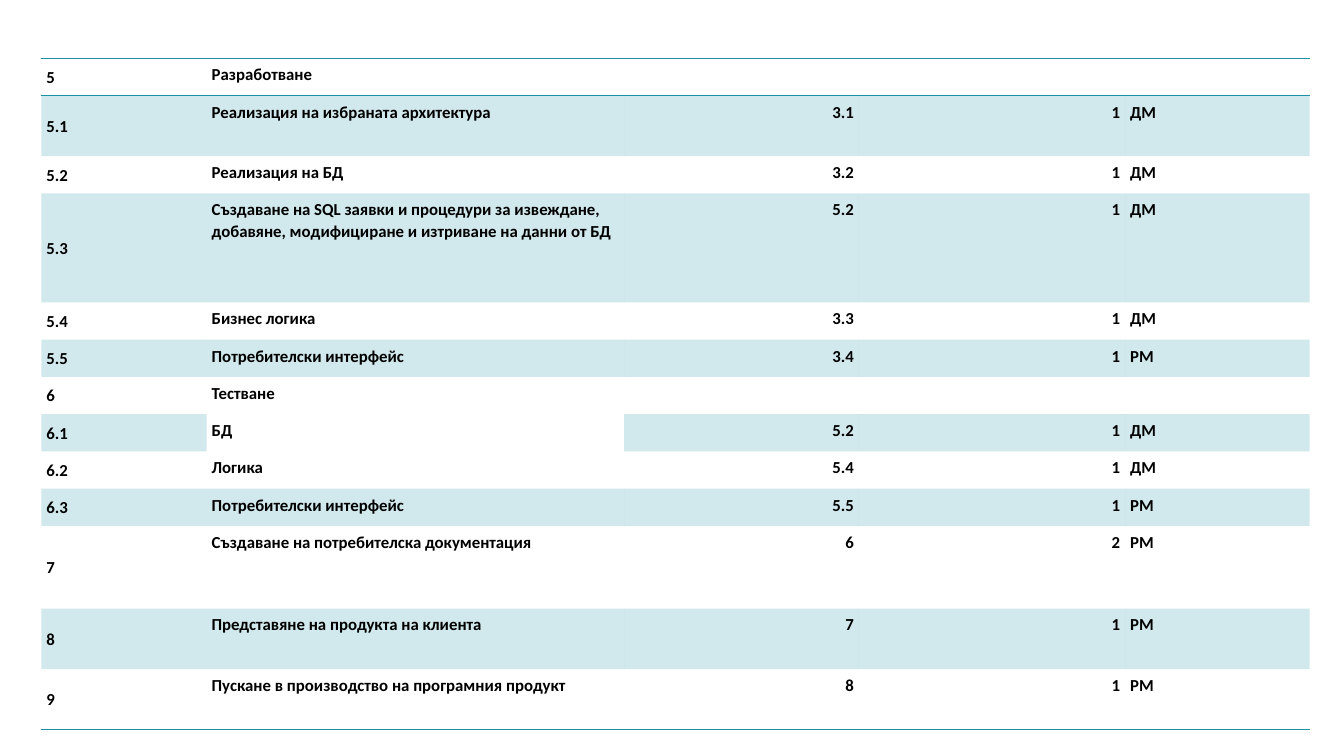
"""Build a slide with the project plan table for stages 5 to 9."""
from lxml.etree import SubElement
from pptx import Presentation
from pptx.dml.color import RGBColor
from pptx.enum.text import MSO_ANCHOR, PP_ALIGN
from pptx.oxml.ns import qn
from pptx.util import Inches, Pt

COLORS = {"text": "000000", "teal": "1B91A1"}
FONT = "Calibri"
NO_STYLE = "{2D5ABB26-0587-4C30-8999-92F81FD0307C}"
TABLE_LEFT, TABLE_TOP = 0.41, 0.58
COLUMN_WIDTHS = [1.64, 4.14, 2.33, 2.64, 1.83]
RIGHT_COLUMNS = (2, 3)
SPACED_TASKS = ("5.1", "5.2")
UNSHADED_CELL = ("6.1", 1)

TASKS = [
    (0.37, ("5", "Разработване", "", "", "")),
    (0.6, ("5.1", "Реализация на избраната архитектура", "3.1", "1", "ДМ")),
    (0.37, ("5.2", "Реализация на БД", "3.2", "1", "ДМ")),
    (1.08, ("5.3", "Създаване на SQL заявки и процедури за извеждане, добавяне, "
                   "модифициране и изтриване на данни от БД", "5.2", "1", "ДМ")),
    (0.37, ("5.4", "Бизнес логика", "3.3", "1", "ДМ")),
    (0.37, ("5.5", "Потребителски интерфейс", "3.4", "1", "РМ")),
    (0.37, ("6", "Тестване", "", "", "")),
    (0.37, ("6.1", "БД", "5.2", "1", "ДМ")),
    (0.37, ("6.2", "Логика", "5.4", "1", "ДМ")),
    (0.37, ("6.3", "Потребителски интерфейс", "5.5", "1", "РМ")),
    (0.82, ("7", "Създаване на потребителска документация", "6", "2", "РМ")),
    (0.6, ("8", "Представяне на продукта на клиента", "7", "1", "РМ")),
    (0.6, ("9", "Пускане в производство на програмния продукт", "8", "1", "РМ")),
]


def write(cell, text, align=PP_ALIGN.LEFT, anchor=MSO_ANCHOR.TOP, size=12, after=0):
    cell.margin_left = cell.margin_right = Inches(0.05)
    cell.margin_top = cell.margin_bottom = Inches(0.05)
    cell.vertical_anchor = anchor
    paragraph = cell.text_frame.paragraphs[0]
    paragraph.alignment = align
    paragraph.line_spacing = 1.07
    paragraph.space_after = Pt(after)
    if not text:
        SubElement(paragraph._p, qn("a:endParaRPr"), sz=str(size * 100))
        return
    run = paragraph.add_run()
    run.text = text
    run.font.name = FONT
    run.font.size = Pt(size)
    run.font.bold = True
    run.font.color.rgb = RGBColor.from_string(COLORS["text"])


def rule(cell, side, color, width=1):
    line = SubElement(cell._tc.get_or_add_tcPr(), qn(f"a:ln{side}"), w=str(Pt(width)))
    SubElement(SubElement(line, qn("a:solidFill")), qn("a:srgbClr"), val=color)


def shade(cell, color, opacity=20):
    cell.fill.solid()
    cell.fill.fore_color.rgb = RGBColor.from_string(color)
    tint = cell._tc.tcPr.find(f"{qn('a:solidFill')}/{qn('a:srgbClr')}")
    SubElement(tint, qn("a:alpha"), val=str(opacity * 1000))


def build_plan(slide):
    plan = slide.shapes.add_table(
        len(TASKS), len(COLUMN_WIDTHS), Inches(TABLE_LEFT), Inches(TABLE_TOP),
        Inches(sum(COLUMN_WIDTHS)), Inches(sum(height for height, _ in TASKS))).table
    plan.first_row = plan.horz_banding = False
    plan._tbl.tblPr.find(qn("a:tableStyleId")).text = NO_STYLE
    for column, width in zip(plan.columns, COLUMN_WIDTHS):
        column.width = Inches(width)

    last = len(TASKS) - 1
    for row, (height, task) in enumerate(TASKS):
        plan.rows[row].height = Inches(height)
        number = task[0]
        for col, text in enumerate(task):
            cell = plan.cell(row, col)
            write(cell, text,
                  align=PP_ALIGN.RIGHT if col in RIGHT_COLUMNS else PP_ALIGN.LEFT,
                  anchor=MSO_ANCHOR.MIDDLE if col == 0 else MSO_ANCHOR.TOP,
                  after=8 if number in SPACED_TASKS and col > 1 else 0)
            if row == 0:
                rule(cell, "T", COLORS["teal"])
            if row in (0, last):
                rule(cell, "B", COLORS["teal"])
            if row % 2 and (number, col) != UNSHADED_CELL:
                shade(cell, COLORS["teal"])
            else:
                cell.fill.background()


def main():
    deck = Presentation()
    deck.slide_width, deck.slide_height = Inches(13.33), Inches(7.5)
    build_plan(deck.slides.add_slide(deck.slide_layouts[6]))
    deck.save("out.pptx")


if __name__ == "__main__":
    main()
